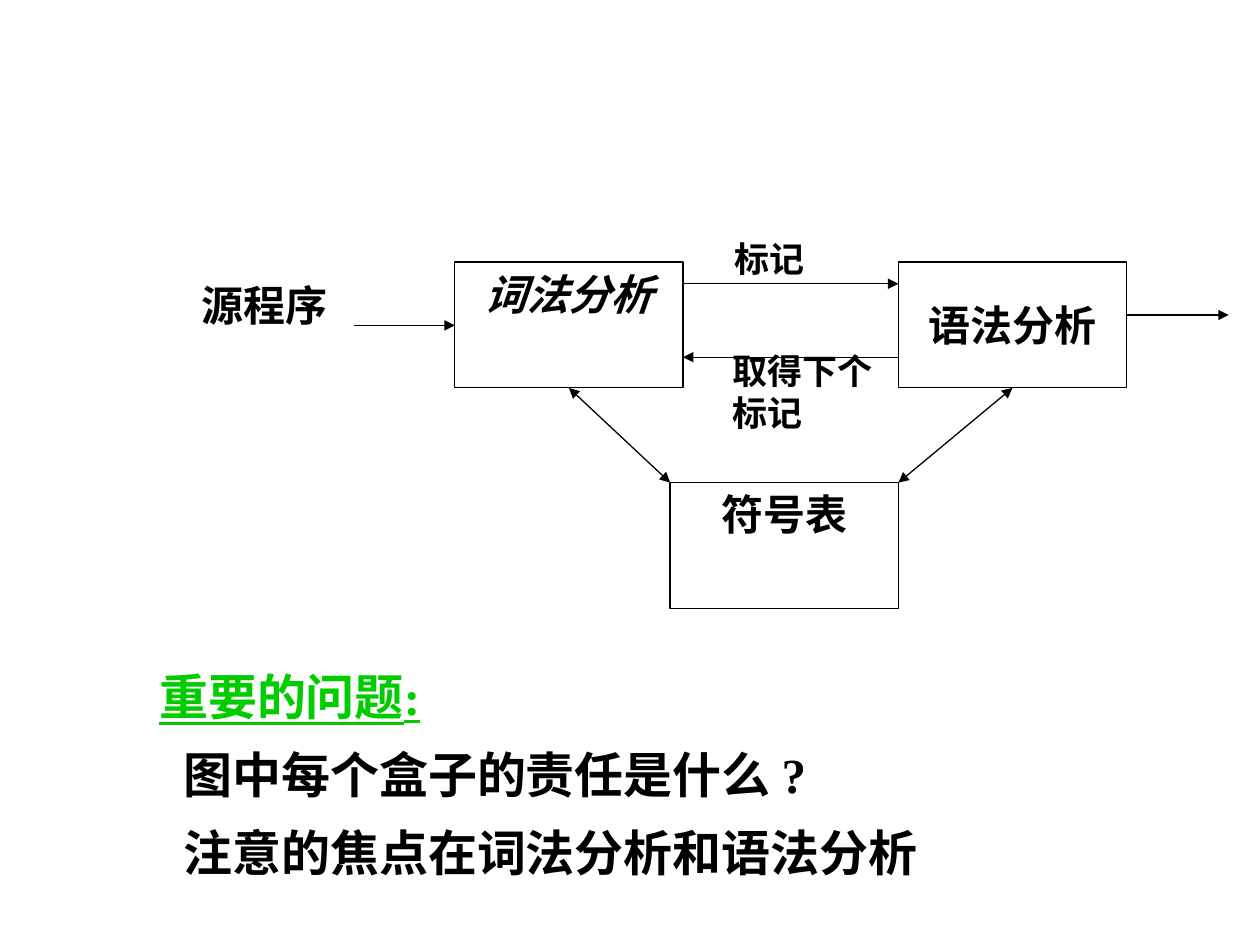
from lxml import etree
from pptx import Presentation
from pptx.dml.color import RGBColor
from pptx.enum.shapes import MSO_CONNECTOR, MSO_SHAPE
from pptx.enum.text import MSO_AUTO_SIZE, PP_ALIGN
from pptx.oxml.ns import qn
from pptx.util import Cm, Pt

STRAIGHT = MSO_CONNECTOR.STRAIGHT
RECT = MSO_SHAPE.RECTANGLE
GROW = MSO_AUTO_SIZE.SHAPE_TO_FIT_TEXT
LEFT, CENTER = PP_ALIGN.LEFT, PP_ALIGN.CENTER

THEME = {
    "font": "Times New Roman",
    "black": RGBColor(0x00, 0x00, 0x00),
    "green": RGBColor(0x00, 0xCC, 0x00),
    "label": Pt(20),
    "box": Pt(24),
    "question": Pt(28),
    "line": Pt(0.75),
}


def add_text(at, paragraphs, size, align=LEFT, **para_format):
    tb = s.shapes.add_textbox(*map(Cm, at))
    tf = tb.text_frame
    tf.word_wrap = True
    tf.auto_size = GROW
    for i, (text, indent, color, extra) in enumerate(paragraphs):
        p = tf.paragraphs[0] if i == 0 else tf.add_paragraph()
        p.alignment = align
        if indent:
            p._p.get_or_add_pPr().set("marL", str(Cm(indent)))
        if i:
            for name, value in para_format.items():
                setattr(p, name, value)
        elif "line_spacing" in para_format:
            p.line_spacing = para_format["line_spacing"]
        r = p.add_run()
        r.text = text
        values = {"name": THEME["font"], "size": size, "bold": True, **extra}
        for name, value in values.items():
            setattr(r.font, name, value)
        r.font.color.rgb = THEME[color]


def add_arrow(x1, y1, x2, y2, ends):
    c = s.shapes.add_connector(STRAIGHT, Cm(x1), Cm(y1), Cm(x2), Cm(y2))
    c.line.color.rgb = THEME["black"]
    c.line.width = THEME["line"]
    ln = c.line._get_or_add_ln()
    for end in ends:
        etree.SubElement(ln, qn(f"a:{end}"), type="triangle")
    etree.SubElement(c._element.spPr, qn("a:effectLst"))


prs = Presentation()
prs.slide_width, prs.slide_height = Cm(25.4), Cm(19.05)
s = prs.slides.add_slide(prs.slide_layouts[6])

BOX_W, BOX_H = 4.6, 2.54
LEXER_X, PARSER_X, TABLE_X = 9.17, 18.11, 13.51
TOP_Y, TABLE_Y = 5.28, 9.73
LEXER_RIGHT, PARSER_RIGHT = LEXER_X + BOX_W, PARSER_X + BOX_W
TOP_BOTTOM = TOP_Y + BOX_H

boxes = [
    ("词法分析", LEXER_X, TOP_Y, 0, {"italic": True}),
    ("语法分析", PARSER_X, TOP_Y, 0.64, {}),
    ("符号表", TABLE_X, TABLE_Y, 0, {}),
]
for text, x, y, drop, extra in boxes:
    sp = s.shapes.add_shape(RECT, Cm(x), Cm(y), Cm(BOX_W), Cm(BOX_H))
    sp.shadow.inherit = False
    sp.fill.background()
    sp.line.color.rgb = THEME["black"]
    sp.line.width = THEME["line"]
    add_text((x, y + drop, BOX_W, 1.27), [(text, 0, "black", extra)],
             THEME["box"], CENTER)

ONE_WAY, BOTH_WAYS = ["tailEnd"], ["headEnd", "tailEnd"]
arrows = [
    (7.14, 6.56, LEXER_X, 6.56, ONE_WAY),
    (LEXER_RIGHT, 5.72, PARSER_X, 5.72, ONE_WAY),
    (PARSER_X, 7.2, LEXER_RIGHT, 7.2, ONE_WAY),
    (PARSER_RIGHT, 6.35, 24.77, 6.35, ONE_WAY),
    (TABLE_X, TABLE_Y, LEXER_X + BOX_W / 2, TOP_BOTTOM, BOTH_WAYS),
    (TABLE_X + BOX_W, TABLE_Y, PARSER_X + BOX_W / 2, TOP_BOTTOM, BOTH_WAYS),
]
for arrow in arrows:
    add_arrow(*arrow)

labels = [
    ("源程序", (3.81, 5.5, 4.34, 1.27), "box"),
    ("标记", (14.55, 4.66, 2.57, 1.11), "label"),
    ("取得下个标记", (14.51, 6.93, 3.33, 1.96), "label"),
]
for text, at, size in labels:
    add_text(at, [(text, 0, "black", {})], THEME[size])

questions = [
    ("重要的问题:", 0, "green", {"underline": True}),
    ("图中每个盒子的责任是什么 ?", 0.49, "black", {}),
    ("注意的焦点在词法分析和语法分析", 0.49, "black", {}),
]
add_text((2.96, 13.55, 19.25, 4.35), questions, THEME["question"],
         line_spacing=0.8, space_before=Pt(17.5))

prs.save("out.pptx")
